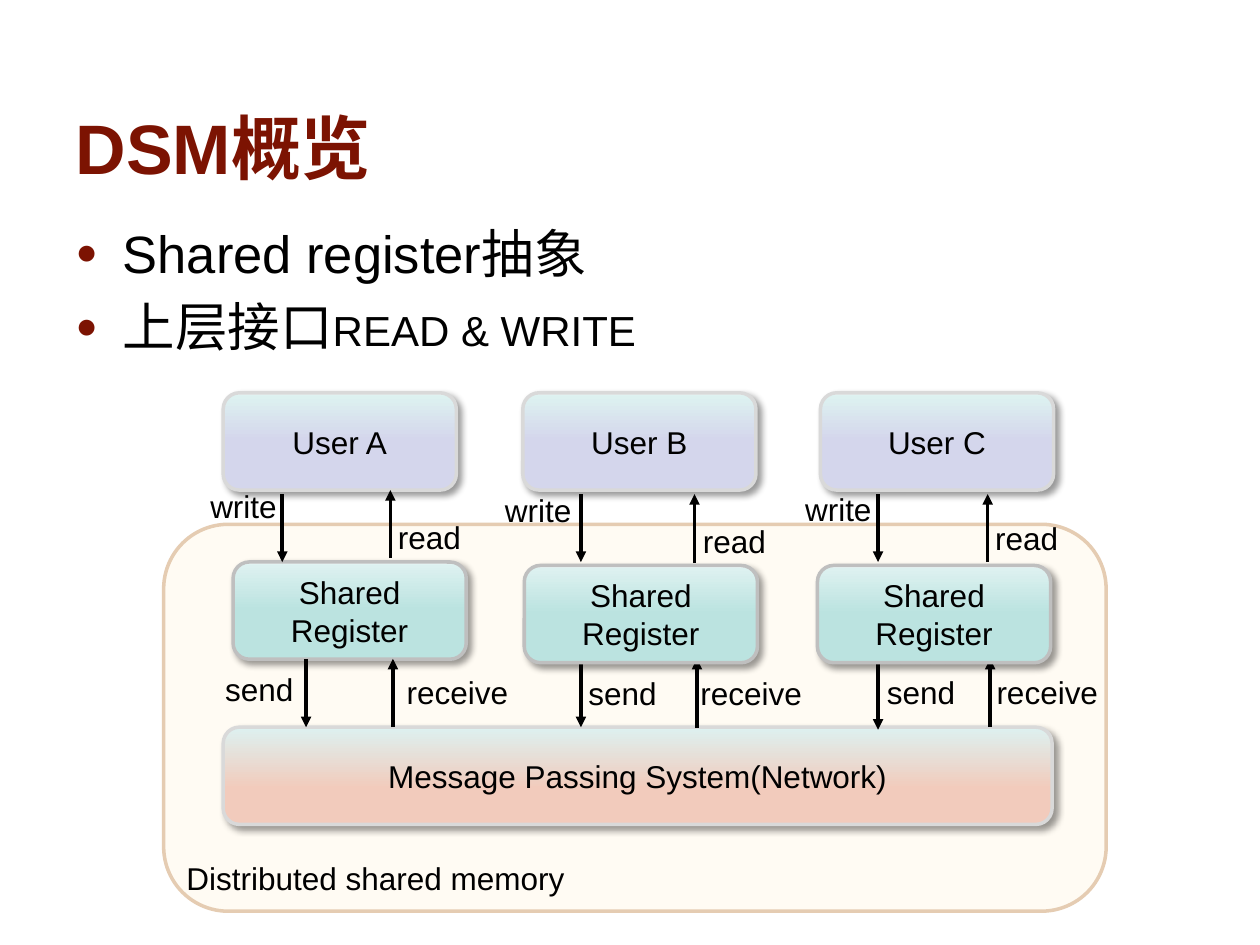
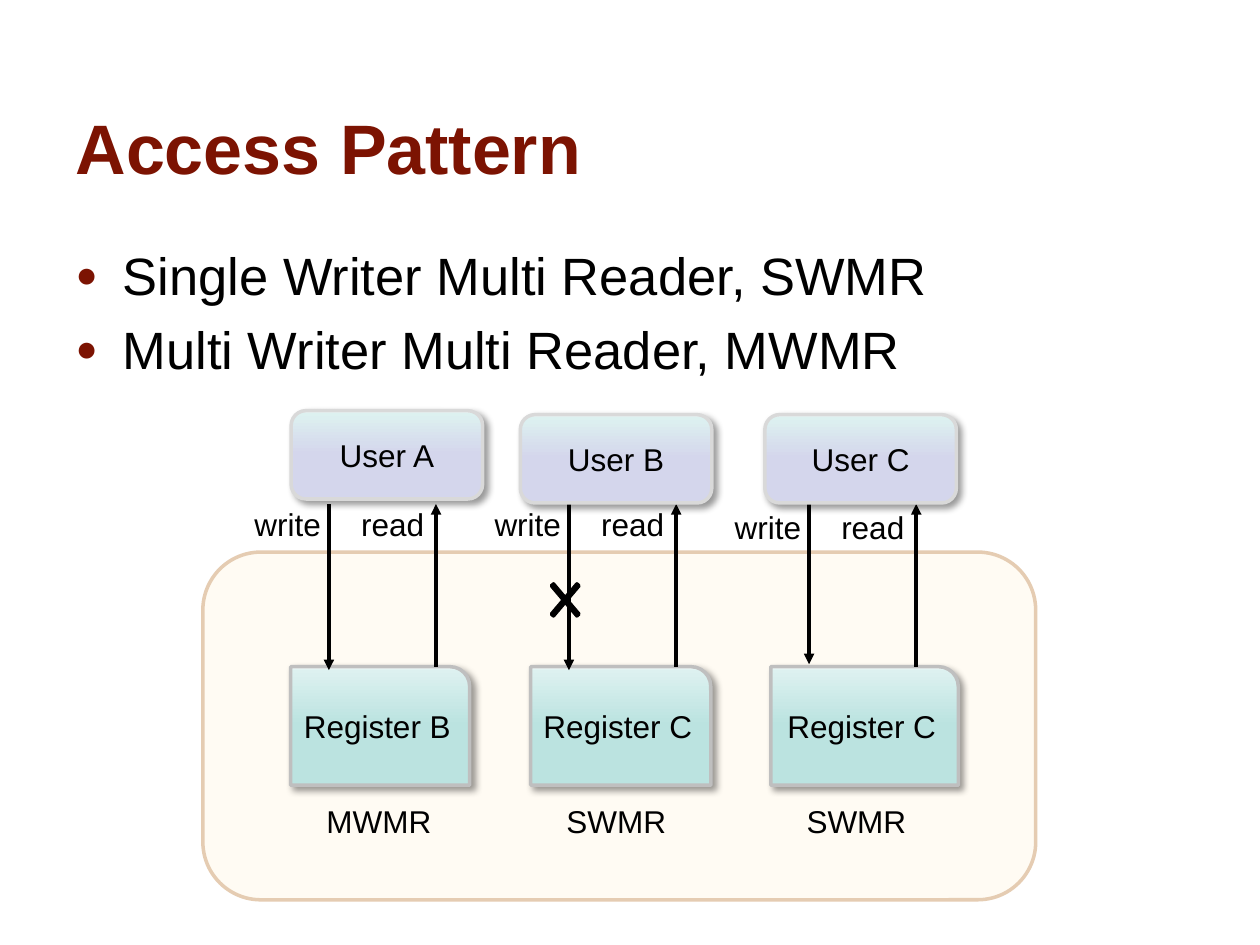
import pptx
import pptx.util
import pptx.dml.color
import pptx.enum.dml
import pptx.enum.shapes
import pptx.enum.text
import pptx.oxml.ns
from lxml import etree
from pptx.util import Cm, Pt

qn = pptx.oxml.ns.qn
MSO_SHAPE = pptx.enum.shapes.MSO_SHAPE
ANCHOR = pptx.enum.text.MSO_ANCHOR
ALIGN = pptx.enum.text.PP_ALIGN
AUTO_SIZE = pptx.enum.text.MSO_AUTO_SIZE

COLORS = {
    "title": "7C1302", "text": "000000", "panel": "FFFBF3", "panel_line": "E5CCB2",
    "user": "D4D6EC", "register": "BBE3E0", "network": "F2CBBC",
    "sheen": "DDF1F0", "top": "FFFFFF", "light_line": "D9D9D9", "grey_line": "BFBFBF",
}
FONT = "Arial"
TITLE_FONT = {"name": FONT, "size": Pt(40), "bold": True}
BODY_FONT = {"name": FONT, "size": Pt(30), "bold": False}
LABEL_FONT = {"name": FONT, "size": Pt(18)}
BOX_FRAME = {"word_wrap": True, "vertical_anchor": ANCHOR.MIDDLE}
LABEL_FRAME = {"word_wrap": False, "auto_size": AUTO_SIZE.SHAPE_TO_FIT_TEXT}

# kind: (gradient stops from bottom to top, line colour)
BOX_STYLES = {
    "user": ([(51, "user"), (97, "sheen"), (100, "top")], "light_line"),
    "register": ([(51, "register"), (97, "sheen"), (100, "top")], "grey_line"),
    "network": ([(37, "network"), (100, "sheen")], "light_line"),
}
LABEL_WIDTHS = {"write": 1.85, "read": 1.8, "send": 1.9, "receive": 2.6,
                "MWMR": 2.64, "SWMR": 2.54, "Distributed shared memory": 8.2}


def rgb(color):
    return pptx.dml.color.RGBColor.from_string(COLORS[color])


def apply(target, formats):
    for name, value in formats.items():
        setattr(target, name, value)


def add_xml(parent, tag, **attributes):
    return etree.SubElement(parent, qn(tag), attributes)


class Deck:
    def __init__(self):
        self.prs = pptx.Presentation()
        self.prs.slide_width, self.prs.slide_height = Cm(25.4), Cm(19.05)
        self.s = None

    def place(self, sp, x, y, w, h):
        apply(sp, {"left": Cm(x), "top": Cm(y), "width": Cm(w), "height": Cm(h)})

    def run(self, p, text, font, color="text"):
        r = p.add_run()
        r.text = text
        apply(r.font, font)
        r.font.color.rgb = rgb(color)
        return r

    def slide(self, title):
        self.s = self.prs.slides.add_slide(self.prs.slide_layouts[1])
        sp = self.s.shapes.title
        self.place(sp, 1.27, 0.33, 20.96, 3.6)
        apply(sp.text_frame, {"vertical_anchor": ANCHOR.BOTTOM, "auto_size": AUTO_SIZE.NONE})
        p = sp.text_frame.paragraphs[0]
        p.alignment = ALIGN.LEFT
        self.run(p, title, TITLE_FONT, "title")

    def bullets(self, y, h, items):
        """Each item is a list of (text, small caps) runs."""
        sp = self.s.placeholders[1]
        self.place(sp, 1.27, y, 22.86, h)
        tf = sp.text_frame
        tf.auto_size = AUTO_SIZE.NONE
        for i, item in enumerate(items):
            p = tf.add_paragraph() if i else tf.paragraphs[0]
            pPr = p._p.get_or_add_pPr()
            pPr.set("marL", str(Cm(0.95)))
            pPr.set("indent", str(-Cm(0.95)))
            add_xml(add_xml(pPr, "a:spcBef"), "a:spcPct", val="20000")
            add_xml(add_xml(pPr, "a:buClr"), "a:srgbClr", val=COLORS["title"])
            add_xml(pPr, "a:buSzPct", val="70000")
            add_xml(pPr, "a:buChar", char="●")
            for text, small_caps in item:
                r = self.run(p, text, BODY_FONT)
                if small_caps:
                    r.font._element.set("cap", "small")

    def shape(self, kind, x, y, w, h, line):
        sp = self.s.shapes.add_shape(kind, Cm(x), Cm(y), Cm(w), Cm(h))
        sp.shadow.inherit = False
        sp.line.color.rgb = rgb(line)
        sp.line.width = Pt(2)
        return sp

    def solid(self, kind, x, y, w, h, fill, line):
        sp = self.shape(kind, x, y, w, h, line)
        sp.fill.solid()
        sp.fill.fore_color.rgb = rgb(fill)
        return sp

    def panel(self, x, y, w, h):
        self.solid(MSO_SHAPE.ROUNDED_RECTANGLE, x, y, w, h, "panel", "panel_line")

    def cross(self, x, y, w, h):
        sp = self.solid(MSO_SHAPE.MATH_MULTIPLY, x, y, w, h, "text", "text")
        sp.adjustments[0] = 0.057

    def box(self, style, text, x, y, w, h, kind=MSO_SHAPE.ROUNDED_RECTANGLE):
        """Gradient box with a soft shadow and centred text."""
        stops, line = BOX_STYLES[style]
        sp = self.shape(kind, x, y, w, h, line)
        sp.fill.gradient()
        sp.fill.gradient_angle = 90
        spPr = sp._element.spPr
        gsLst = spPr.find(".//" + qn("a:gsLst"))
        for gs in list(gsLst):
            gsLst.remove(gs)
        for position, color in stops:
            gs = add_xml(gsLst, "a:gs", pos=str(position * 1000))
            add_xml(gs, "a:srgbClr", val=COLORS[color])
        shadow = add_xml(spPr.find(qn("a:effectLst")), "a:outerShdw", blurRad=str(Pt(4)),
                         dist=str(Pt(3)), dir="2700000", algn="tl", rotWithShape="0")
        add_xml(add_xml(shadow, "a:srgbClr", val=COLORS["text"]), "a:alpha", val="40000")
        apply(sp.text_frame, BOX_FRAME)
        p = sp.text_frame.paragraphs[0]
        p.alignment = ALIGN.CENTER
        self.run(p, text, LABEL_FONT)

    def arrow(self, x, y1, y2):
        """Vertical arrow that points at y2."""
        cn = self.s.shapes.add_connector(pptx.enum.shapes.MSO_CONNECTOR.STRAIGHT,
                                         Cm(x), Cm(y1), Cm(x), Cm(y2))
        cn.line.color.rgb = rgb("text")
        cn.line.width = Pt(2)
        add_xml(cn.line._get_or_add_ln(), "a:tailEnd", type="triangle")
        add_xml(cn._element.spPr, "a:effectLst")

    def label(self, text, x, y):
        sp = self.s.shapes.add_textbox(Cm(x), Cm(y), Cm(LABEL_WIDTHS[text]), Cm(1.02))
        apply(sp.text_frame, LABEL_FRAME)
        self.run(sp.text_frame.paragraphs[0], text, LABEL_FONT)


def overview(deck):
    deck.slide("DSM概览")
    deck.bullets(4.32, 3.33, [[("Shared register抽象", False)],
                              [("上层接口", False), ("read & write", True)]])
    deck.panel(3.3, 10.57, 19, 7.8)
    # name, user x, register position
    columns = [("User A", 4.5, (4.7, 11.33)),
               ("User B", 10.54, (10.57, 11.4)),
               ("User C", 16.54, (16.48, 11.4))]

    def node(name, user_x, register):
        deck.box("register", "Shared Register", *register, 4.7, 1.96)
        deck.box("user", name, user_x, 7.92, 4.7, 1.96)

    node(*columns[0])
    deck.box("network", "Message Passing System(Network)", 4.5, 14.66, 16.71, 1.96)
    # operation: (arrow x, start, end), (label x, label y) for each column
    operations = {
        "write": [((5.69, 9.96, 11.33), (3.99, 9.7)),
                  ((11.71, 9.96, 11.33), (9.93, 9.78)),
                  ((17.7, 9.96, 11.33), (15.98, 9.75))],
        "read": [((7.87, 11.25, 9.88), (7.77, 10.31)),
                 ((14, 11.35, 9.96), (13.92, 10.39)),
                 ((19.91, 11.33, 9.96), (19.81, 10.34))],
        "send": [((6.17, 13.28, 14.66), (4.29, 13.39)),
                 ((11.71, 13.28, 14.66), (11.61, 13.46)),
                 ((17.7, 13.31, 14.71), (17.63, 13.44))],
        "receive": [((7.92, 14.66, 13.28), (7.95, 13.44)),
                    ((14.05, 14.68, 13.28), (13.87, 13.46)),
                    ((19.96, 14.66, 13.28), (19.84, 13.44))],
    }
    for operation, spots in operations.items():
        for arrow, label in spots:
            deck.arrow(*arrow)
            deck.label(operation, *label)
    deck.label("Distributed shared memory", 3.51, 17.2)
    for column in columns[1:]:
        node(*column)


def access_pattern(deck):
    deck.slide("Access Pattern")
    deck.bullets(4.78, 13.11, [[("Single Writer Multi Reader, SWMR", False)],
                               [("Multi Writer Multi Reader, MWMR", False)]])
    deck.panel(4.09, 11.13, 16.79, 7.01)
    # user, user position, register, register width, pattern, write end, label y
    columns = [("User A", (5.87, 8.28), "Register B", 3.61, "MWMR", 13.51, 10.06),
               ("User B", (10.49, 8.36), "Register C", 3.63, "SWMR", 13.51, 10.06),
               ("User C", (15.42, 8.36), "Register C", 3.78, "SWMR", 13.39, 10.11)]
    for i, (user, user_at, register, width, pattern, write_end, label_y) in enumerate(columns):
        x = 6.63 + 4.84 * i
        deck.box("register", register, x - 0.77, 13.44, width, 2.39,
                 MSO_SHAPE.ROUND_1_RECTANGLE)
        deck.arrow(x, 10.16, write_end)
        deck.label("write", x - 1.75, label_y)
        deck.arrow(x + 2.16, 13.44, 10.16)
        deck.label("read", x + 0.4, label_y)
        deck.box("user", user, *user_at, 3.86, 1.78)
        deck.label(pattern, x - 0.3, 16.05)
    deck.cross(10.9, 11.51, 0.99, 1.17)


def main():
    deck = Deck()
    overview(deck)
    access_pattern(deck)
    deck.prs.save("out.pptx")


if __name__ == "__main__":
    main()
